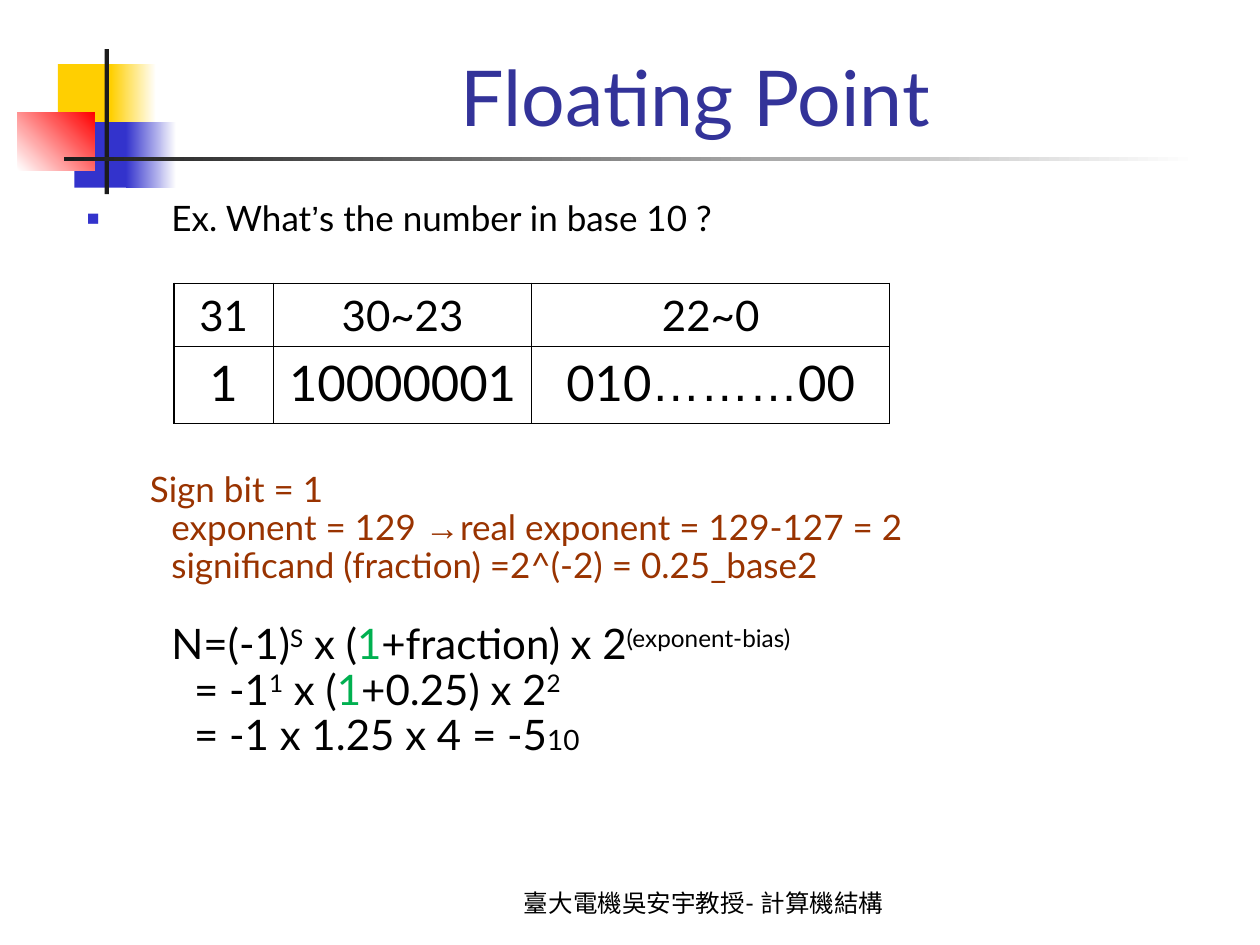
import pptx
import pptx.util
import pptx.dml.color
import pptx.enum.shapes
import pptx.enum.text
import pptx.oxml.ns
from lxml import etree

COLORS = {
    "gold": "FFCF01", "blue": "3333CC", "red": "FF0000", "white": "FFFFFF",
    "ink": "1C1C1C", "title": "333399", "black": "000000",
    "answer": "993300", "green": "00B050",
}
CENTER = pptx.enum.text.PP_ALIGN.CENTER
BOTTOM = pptx.enum.text.MSO_ANCHOR.BOTTOM


def rgb(name):
    return pptx.dml.color.RGBColor.from_string(COLORS[name])


def add_xml(parent, tag, **attributes):
    return etree.SubElement(parent, pptx.oxml.ns.qn(tag), attributes)


class FloatingPointSlide:
    """Style and current slide; lengths are in grid units of 100 columns by 75 rows."""

    def __init__(self, presentation):
        self.font = "Lato"
        self.symbol_font = "Arial"
        self.unit = presentation.slide_width / 100
        self.slide = presentation.slides.add_slide(presentation.slide_layouts[1])

    def grid(self, *lengths):
        return [round(length * self.unit) for length in lengths]

    def place(self, shape, box):
        shape.left, shape.top, shape.width, shape.height = self.grid(*box)

    def style(self, font, size, color):
        font.name = self.font
        font.size = pptx.util.Pt(size)
        font.color.rgb = rgb(color)

    def block(self, box, color, end_color=None, angle=0):
        block = self.slide.shapes.add_shape(
            pptx.enum.shapes.MSO_SHAPE.RECTANGLE, *self.grid(*box))
        block.shadow.inherit = False
        block.line.fill.background()
        if end_color:
            block.fill.gradient()
            block.fill.gradient_angle = angle
            for stop, name in zip(block.fill.gradient_stops, (color, end_color)):
                stop.color.rgb = rgb(name)
        else:
            block.fill.solid()
            block.fill.fore_color.rgb = rgb(color)

    def add_runs(self, paragraph, runs, size, color="black"):
        """Each run is a string, or a string with the settings that differ."""
        self.style(paragraph.font, size, color)
        for item in runs:
            text, changes = item if isinstance(item, tuple) else (item, {})
            run = paragraph.add_run()
            run.text = text
            if "color" in changes:
                run.font.color.rgb = rgb(changes["color"])
            if "size" in changes:
                run.font.size = pptx.util.Pt(changes["size"])
            if "font" in changes:
                run.font.name = changes["font"]
            if "baseline" in changes:
                run.font._element.set("baseline", str(changes["baseline"] * 1000))

    def heading(self, box, text):
        title = self.slide.shapes.title
        self.place(title, box)
        frame = title.text_frame
        frame.auto_size = pptx.enum.text.MSO_AUTO_SIZE.NONE
        frame.vertical_anchor = BOTTOM
        frame.paragraphs[0].alignment = CENTER
        self.add_runs(frame.paragraphs[0], [text], 44, "title")

    def body(self, box, lines):
        body = self.slide.placeholders[1]
        self.place(body, box)
        frame = body.text_frame
        frame.auto_size = pptx.enum.text.MSO_AUTO_SIZE.NONE
        for index, (indent, gap, size, color, runs) in enumerate(lines):
            paragraph = frame.add_paragraph() if index else frame.paragraphs[0]
            properties = paragraph._p.get_or_add_pPr()
            margin = self.grid(indent)[0]
            properties.set("marL", str(margin))
            properties.set("indent", str(0 if index else -margin))
            if index:
                add_xml(properties, "a:buNone")
            else:
                bullet_color = add_xml(properties, "a:buClr")
                add_xml(bullet_color, "a:srgbClr", val=COLORS["blue"])
                add_xml(properties, "a:buSzPct", val="60000")
                add_xml(properties, "a:buFont", typeface=self.symbol_font)
                add_xml(properties, "a:buChar", char="■")
            paragraph.line_spacing = 0.9
            paragraph.space_before = pptx.util.Pt(gap)
            self.add_runs(paragraph, runs, size, color)

    def border(self, cell, side, width):
        line = add_xml(cell._tc.get_or_add_tcPr(), f"a:ln{side}",
                       w=str(pptx.util.Pt(width)))
        add_xml(add_xml(line, "a:solidFill"), "a:srgbClr", val=COLORS["black"])

    def table(self, box, columns, rows, sizes, content):
        table = self.slide.shapes.add_table(
            len(rows), len(columns), *self.grid(*box)).table
        table.first_row = table.horz_banding = False
        for column, width in zip(table.columns, self.grid(*columns)):
            column.width = width
        for row, height in zip(table.rows, self.grid(*rows)):
            row.height = height
        last_row, last_column = len(rows) - 1, len(columns) - 1
        for r, values in enumerate(content):
            for c, runs in enumerate(values):
                cell = table.cell(r, c)
                outer = {"L": c == 0, "R": c == last_column,
                         "T": r == 0, "B": r == last_row}
                for side, is_outer in outer.items():
                    self.border(cell, side, 1.08 if is_outer else 0.45)
                cell.fill.background()
                paragraph = cell.text_frame.paragraphs[0]
                paragraph.alignment = CENTER
                self.add_runs(paragraph, runs, sizes[r])

    def footer(self, box, text):
        footer = self.slide.shapes.add_textbox(*self.grid(*box))
        frame = footer.text_frame
        frame.word_wrap = True
        frame.vertical_anchor = BOTTOM
        frame.paragraphs[0].alignment = CENTER
        self.add_runs(frame.paragraphs[0], [text], 14)


def main():
    presentation = pptx.Presentation()
    presentation.slide_width = pptx.util.Inches(10)
    presentation.slide_height = pptx.util.Inches(7.5)
    page = FloatingPointSlide(presentation)

    # Corner ornament and rule
    page.block((4.6, 5.1, 4.8, 5.2), "gold")
    page.block((8.8, 5.1, 3.6, 5.2), "gold", "white")
    page.block((5.9, 9.7, 4.6, 5.2), "blue")
    page.block((10, 9.7, 4, 5.2), "blue", "white")
    page.block((1.4, 8.9, 6.1, 4.6), "white", "red", angle=45)
    page.block((8.3, 3.9, 0.35, 11.5), "ink")
    page.block((5.1, 12.45, 90, 0.35), "ink", "white")

    # Title
    page.heading((12.6, 2.8, 85.2, 9), "Floating Point")

    # Question and worked answer: indent, space before, size, colour, runs
    symbol = {"font": page.symbol_font}
    raised = {"baseline": 30}
    hidden_one = ("1", {"color": "green"})
    page.body((5.9, 15.5, 87.4, 51.2), [
        (6.7, 0, 20, "black",
         ["Ex. What", ("’", symbol), "s the number in base 10 ?"]),
        (5, 133, 20, "answer", ["Sign bit = 1"]),
        (6.7, 0, 20, "answer",
         ["exponent = 129 ", ("→", symbol), "real exponent = 129-127 = 2"]),
        (6.7, 0, 20, "answer", ["significand (fraction) =2^(-2) = 0.25_base2"]),
        (6.7, 21.6, 24, "black",
         ["N=(-1)", ("S", raised), " x (", hidden_one, "+fraction) x 2",
          ("(exponent-bias)", raised)]),
        (8.5, 0, 24, "black",
         ["= -1", ("1", raised), " x (", hidden_one, "+0.25) x 2", ("2", raised)]),
        (8.5, 0, 24, "black", ["= -1 x 1.25 x 4 = -5", ("10", {"size": 16})]),
    ])

    # Bit fields of the number
    page.table((13.8, 22.5, 56.8, 11.1), (7.9, 20.5, 28.4), (5, 6.1), (24, 28), [
        [["31"], ["30~23"], ["22~0"]],
        [["1"], ["10000001"], ["010", ("………", symbol), "00"]],
    ])

    # Footer
    page.footer((40, 68.3, 31.7, 5), "臺大電機吳安宇教授- 計算機結構")

    presentation.save("out.pptx")


if __name__ == "__main__":
    main()
